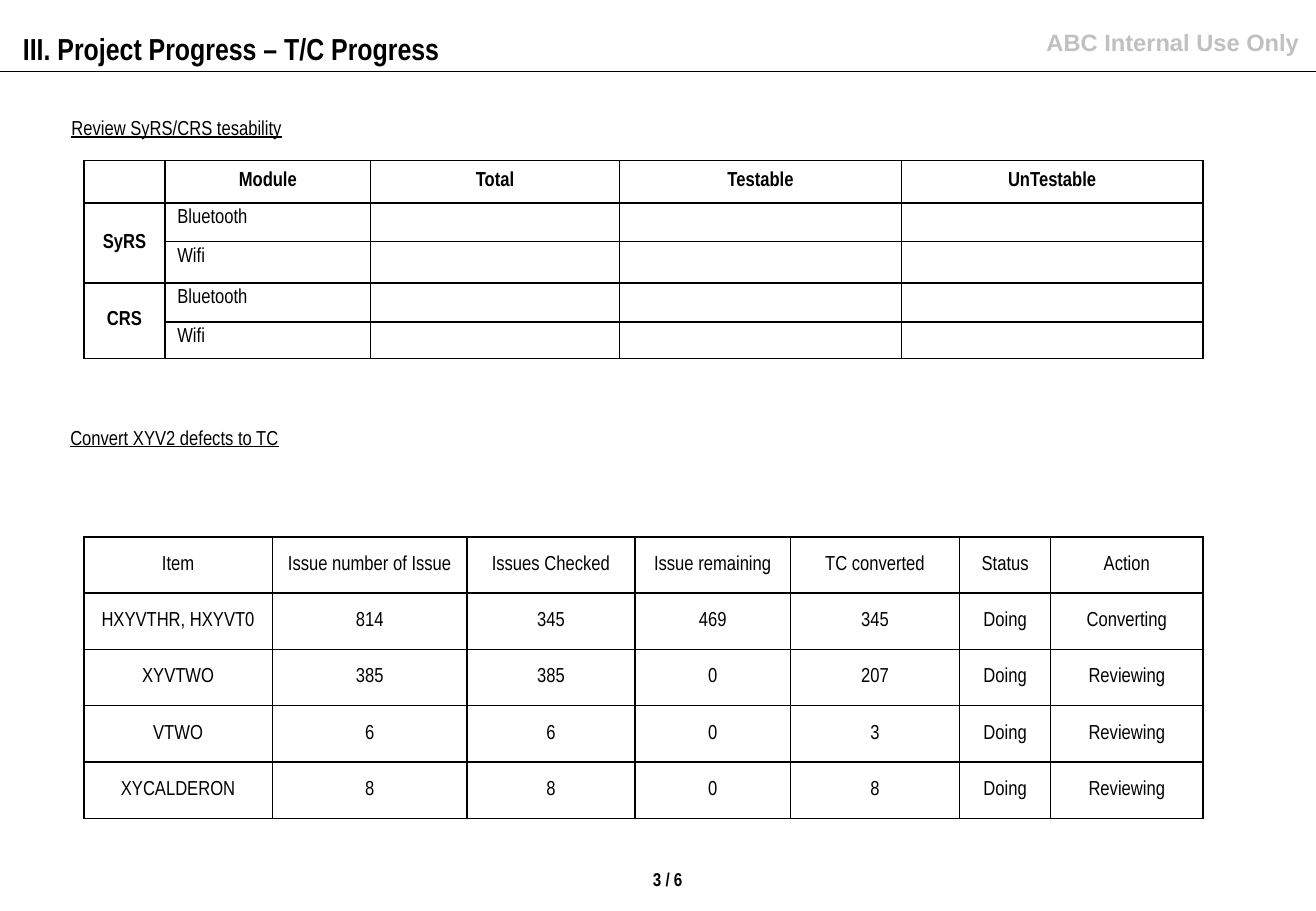
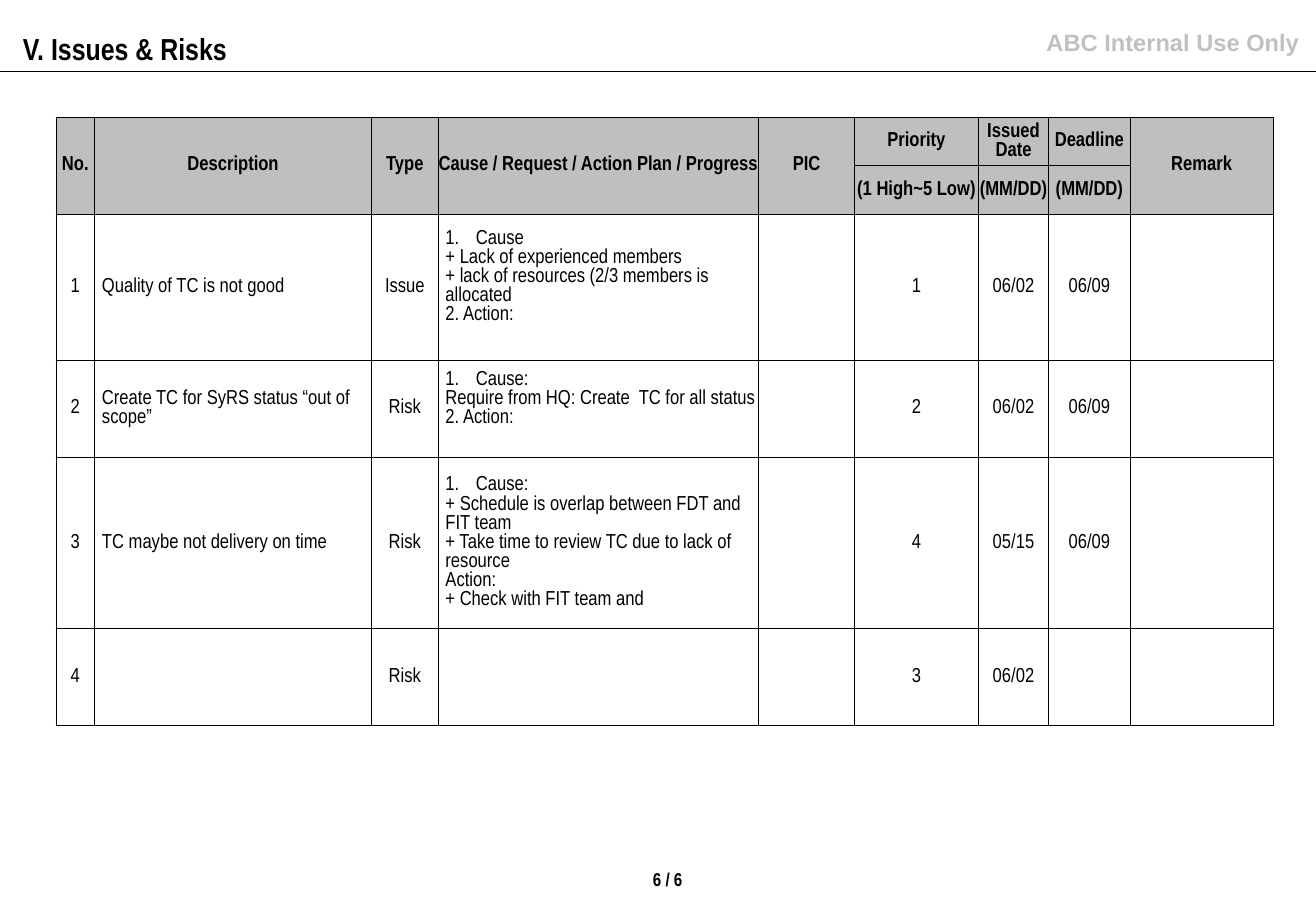
from lxml import etree
from pptx import Presentation
from pptx.dml.color import RGBColor
from pptx.enum.shapes import MSO_CONNECTOR, MSO_SHAPE
from pptx.enum.text import MSO_ANCHOR, PP_ALIGN
from pptx.oxml import parse_xml
from pptx.oxml.ns import nsdecls, qn
from pptx.util import Inches, Pt

LEFT, CENTER, RIGHT = PP_ALIGN.LEFT, PP_ALIGN.CENTER, PP_ALIGN.RIGHT
TOP, MIDDLE = MSO_ANCHOR.TOP, MSO_ANCHOR.MIDDLE
STRAIGHT, RECTANGLE = MSO_CONNECTOR.STRAIGHT, MSO_SHAPE.RECTANGLE

WIDTH, HEIGHT = Inches(10.83), Inches(7.5)
COLORS = {"ink": "000000", "notice": "C0C0C0", "header": "BFBFBF", "paper": "FFFFFF"}
BODY_FONT, NOTICE_FONT = "Arial Narrow", "Arial"
PAGE_TOTAL = 6

TESTABILITY = [
    ["", "Module", "Total", "Testable", "UnTestable"],
    ["SyRS", "Bluetooth", "", "", ""],
    ["", "Wifi", "", "", ""],
    ["CRS", "Bluetooth", "", "", ""],
    ["", "Wifi", "", "", ""],
]
DEFECTS = [
    ["Item", "Issue number of Issue", "Issues Checked", "Issue remaining",
     "TC converted", "Status", "Action"],
    ["HXYVTHR, HXYVT0", "814", "345", "469", "345", "Doing", "Converting"],
    ["XYVTWO", "385", "385", "0", "207", "Doing", "Reviewing"],
    ["VTWO", "6", "6", "0", "3", "Doing", "Reviewing"],
    ["XYCALDERON", "8", "8", "0", "8", "Doing", "Reviewing"],
]
ISSUES = [
    ["No.", "Description", "Type", "Cause / Request / Action Plan / Progress", "PIC",
     "Priority", "Issued\vDate", "Deadline", "Remark"],
    ["", "", "", "", "", "(1 High~5 Low)", "(MM/DD)", "(MM/DD)", ""],
    ["1", "Quality of TC is not good", "Issue",
     "Cause\n+ Lack of experienced members\n"
     "+ lack of resources (2/3 members is allocated\n2. Action:",
     "", "1", "06/02", "06/09", ""],
    ["2", "Create TC for SyRS status “out of scope”", "Risk",
     "Cause:\nRequire from HQ: Create  TC for all status\n2. Action:",
     "", "2", "06/02", "06/09", ""],
    ["3", "TC maybe not delivery on time", "Risk",
     "Cause:\n+ Schedule is overlap between FDT and FIT team\n"
     "+ Take time to review TC due to lack of resource\nAction:\n"
     "+ Check with FIT team and",
     "", "4", "05/15", "06/09", ""],
    ["4", "", "Risk", "", "", "3", "06/02", "", ""],
]
DESCRIPTION, CAUSE = 1, 3


def across(percent):
    """Turn a percentage of the slide width into a length."""
    return round(WIDTH * percent / 100)


def down(percent):
    """Turn a percentage of the slide height into a length."""
    return round(HEIGHT * percent / 100)


def place(left, top, width, height):
    """Turn a box given in percent of the slide into lengths."""
    return across(left), down(top), across(width), down(height)


def style(paragraph, size=12, bold=False, underline=None, color="ink",
          font=BODY_FONT, align=LEFT):
    """Set the font and alignment of a paragraph."""
    paragraph.alignment = align
    paragraph.font.name = font
    paragraph.font.size = Pt(size)
    paragraph.font.bold = bold
    paragraph.font.underline = underline
    paragraph.font.color.rgb = RGBColor.from_string(COLORS[color])


def add_text(slide, text, box, wrap=False, **look):
    """Add a one-paragraph text box."""
    frame = slide.shapes.add_textbox(*place(*box)).text_frame
    frame.word_wrap = wrap
    frame.text = text
    style(frame.paragraphs[0], **look)


def add_rule(slide):
    """Draw the line under the title."""
    rule = slide.shapes.add_connector(STRAIGHT, 0, down(7.87), WIDTH, down(7.87))
    rule.line.color.rgb = RGBColor.from_string(COLORS["ink"])
    rule.line.width = Pt(0.75)
    etree.SubElement(rule._element.spPr, qn("a:effectLst"))


def add_page_number(slide, number):
    """Add the page number on its white plate."""
    plate = slide.shapes.add_shape(RECTANGLE, *place(49.58, 95.2, 2.31, 2.53))
    plate.shadow.inherit = False
    plate.fill.solid()
    plate.fill.fore_color.rgb = RGBColor.from_string(COLORS["paper"])
    plate.line.fill.background()
    frame = plate.text_frame
    frame.margin_left = frame.margin_right = frame.margin_top = frame.margin_bottom = 0
    frame.word_wrap = False
    frame.text = f"{number} / {PAGE_TOTAL}"
    style(frame.paragraphs[0], size=11, bold=True, align=CENTER)


def add_page(presentation, title, title_width, number):
    """Add a slide with the shared title, notice, rule and page number."""
    slide = presentation.slides.add_slide(presentation.slide_layouts[6])
    add_rule(slide)
    add_text(slide, "ABC Internal Use Only", (72.21, 2.4, 27.42, 4.53), wrap=True,
             size=14, bold=True, color="notice", font=NOTICE_FONT, align=RIGHT)
    add_text(slide, title, (0.83, 2.67, title_width, 9.47), size=18, bold=True)
    add_page_number(slide, number)
    return slide


def add_borders(cell, points):
    """Draw all four borders of a cell."""
    properties = cell._tc.get_or_add_tcPr()
    for side in ("lnL", "lnR", "lnT", "lnB"):
        properties.append(parse_xml(
            f'<a:{side} {nsdecls("a")} w="{Pt(points)}"><a:solidFill>'
            f'<a:srgbClr val="{COLORS["ink"]}"/></a:solidFill></a:{side}>'))


def fill_cell(cell, text, border, fill=None, anchor=MIDDLE, inset=(0.1, 0.05), **look):
    """Set the borders, fill, margins and text of a cell."""
    add_borders(cell, border)
    if fill:
        cell.fill.solid()
        cell.fill.fore_color.rgb = RGBColor.from_string(COLORS[fill])
    else:
        cell.fill.background()
    cell.vertical_anchor = anchor
    cell.margin_left = cell.margin_right = Inches(inset[0])
    cell.margin_top = cell.margin_bottom = Inches(inset[1])
    cell.text = text
    for paragraph in cell.text_frame.paragraphs:
        style(paragraph, **look)


def add_grid(slide, rows, corner, width, weights, heights, look):
    """Add a table whose cells are dressed by look(row, column)."""
    box = place(*corner, width, sum(heights))
    table = slide.shapes.add_table(len(rows), len(weights), *box).table
    table.first_row = table.horz_banding = False
    for column, weight in zip(table.columns, weights):
        column.width = across(width * weight / sum(weights))
    for row, height in zip(table.rows, heights):
        row.height = down(height)
    for row, texts in enumerate(rows):
        for column, text in enumerate(texts):
            fill_cell(table.cell(row, column), text, **look(row, column))
    return table


def merge_down(table, row, columns):
    """Merge each given cell with the one below it."""
    for column in columns:
        table.cell(row, column).merge(table.cell(row + 1, column))


def indent(paragraph, margin, first=0):
    """Set the left margin and first-line indent of a paragraph."""
    properties = paragraph._p.get_or_add_pPr()
    properties.set("marL", str(Inches(margin)))
    properties.set("indent", str(Inches(first)))
    return properties


def number_first(paragraph):
    """Give a paragraph an automatic number."""
    properties = indent(paragraph, 0.31, -0.25)
    bullet = parse_xml(f'<a:buAutoNum {nsdecls("a")} type="arabicPeriod"/>')
    properties.find(qn("a:defRPr")).addprevious(bullet)


def testability_look(row, column):
    """Dress a cell of the testability table."""
    heading = row == 0 or column == 0
    return {"border": 1, "bold": heading, "anchor": MIDDLE if heading else TOP,
            "align": CENTER if heading else LEFT}


def defects_look(row, column):
    """Dress a cell of the defects table."""
    return {"border": 1, "inset": (0.07, 0), "align": CENTER}


def issues_look(row, column):
    """Dress a cell of the issues table."""
    heading = row < 2
    prose = not heading and column in (DESCRIPTION, CAUSE)
    return {"border": 0.5, "inset": (0, 0), "bold": heading,
            "fill": "header" if heading else None, "align": LEFT if prose else CENTER}


def build_progress(presentation):
    """Build the test case progress slide."""
    slide = add_page(presentation, "III. Project Progress – T/C Progress", 33.98, 3)
    add_text(slide, "Review SyRS/CRS tesability", (4.52, 12, 33.43, 4), wrap=True,
             underline=True)
    table = add_grid(slide, TESTABILITY, (6.37, 17.6), 85.04,
                     (0.67, 1.69, 2.05, 2.32, 2.48), (4.67, 4.27, 4.53, 4.27, 3.6),
                     testability_look)
    for row in (1, 3):
        merge_down(table, row, [0])
    add_text(slide, "Convert XYV2 defects to TC", (4.43, 46, 18.28, 4), underline=True)
    add_grid(slide, DEFECTS, (6.37, 58.93), 85.04,
             (1.55, 1.6, 1.38, 1.28, 1.39, 0.75, 1.25), [6.18] * len(DEFECTS),
             defects_look)


def build_issues(presentation):
    """Build the issues and risks slide."""
    slide = add_page(presentation, "V. Issues & Risks", 18.1, 6)
    table = add_grid(slide, ISSUES, (4.25, 12.85), 92.52,
                     (0.32, 2.28, 0.55, 2.64, 0.79, 1.02, 0.58, 0.67, 1.18),
                     (5.33, 5.33, 16, 10.67, 18.8, 10.67), issues_look)
    merge_down(table, 0, [0, 1, 2, 3, 4, 8])
    for row in range(2, len(ISSUES)):
        for column in (DESCRIPTION, CAUSE):
            for paragraph in table.cell(row, column).text_frame.paragraphs:
                indent(paragraph, 0.06)
        if ISSUES[row][CAUSE]:
            number_first(table.cell(row, CAUSE).text_frame.paragraphs[0])
    for row in (2, 3):
        table.cell(row, CAUSE).margin_bottom = Inches(0.16)


def main():
    """Build and save the presentation."""
    presentation = Presentation()
    presentation.slide_width, presentation.slide_height = WIDTH, HEIGHT
    build_progress(presentation)
    build_issues(presentation)
    presentation.save("out.pptx")


if __name__ == "__main__":
    main()
